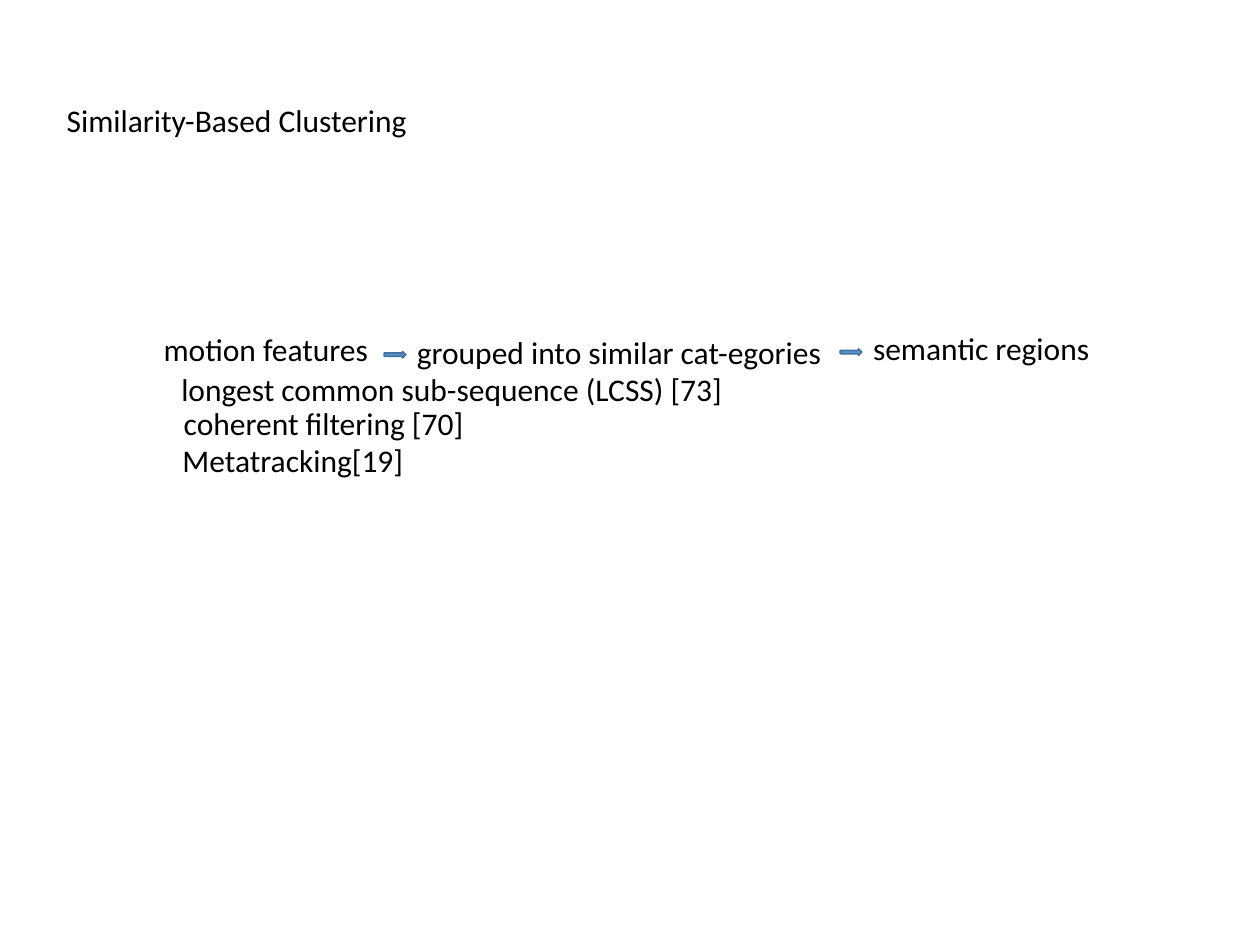
"""Build a slide outlining similarity-based clustering."""
from dataclasses import dataclass

import pptx
import pptx.dml.color
import pptx.enum.shapes
import pptx.enum.text
import pptx.slide
import pptx.util

Pt = pptx.util.Pt
BLACK = pptx.dml.color.RGBColor(0x00, 0x00, 0x00)
ARROW_FILL = pptx.dml.color.RGBColor(0x5B, 0x9B, 0xD5)
ARROW_LINE = pptx.dml.color.RGBColor(0x43, 0x73, 0x9E)
LABEL_HEIGHT = 28.8
ARROW_WIDTH, ARROW_HEIGHT = 12.24, 3.6


@dataclass(frozen=True)
class Label:
    text: str
    left: float
    top: float
    width: float


@dataclass(frozen=True)
class Arrow:
    left: float
    top: float


TITLE = Label("Similarity-Based Clustering", 31, 54, 211)
STEPS = [
    Label("motion features", 86.4, 185, 132.5),
    Label("grouped into similar cat-egories", 231.1, 186.5, 248.4),
    Label("semantic regions", 491.8, 184.3, 139.7),
]
METHODS = [
    Label("longest common sub-sequence (LCSS) [73]", 96.5, 208.1, 327.6),
    Label("coherent filtering [70]", 97.9, 227.5, 176.4),
    Label("Metatracking[19]", 97.2, 248.4, 141.8),
]
ARROWS = [Arrow(219.6, 200.9), Arrow(480.2, 199.4)]


def draw_label(page: pptx.slide.Slide, label: Label) -> None:
    box = page.shapes.add_textbox(
        Pt(label.left), Pt(label.top), Pt(label.width), Pt(LABEL_HEIGHT)
    )
    frame = box.text_frame
    frame.text = label.text
    frame.word_wrap = False
    frame.auto_size = pptx.enum.text.MSO_AUTO_SIZE.SHAPE_TO_FIT_TEXT
    font = frame.paragraphs[0].runs[0].font
    font.name = "Calibri"
    font.size = Pt(18)
    font.color.rgb = BLACK


def draw_arrow(page: pptx.slide.Slide, arrow: Arrow) -> None:
    shape = page.shapes.add_shape(
        pptx.enum.shapes.MSO_SHAPE.RIGHT_ARROW,
        Pt(arrow.left), Pt(arrow.top), Pt(ARROW_WIDTH), Pt(ARROW_HEIGHT),
    )
    shape.shadow.inherit = False
    shape.fill.solid()
    shape.fill.fore_color.rgb = ARROW_FILL
    shape.line.color.rgb = ARROW_LINE
    shape.line.width = Pt(1)


def main() -> None:
    deck = pptx.Presentation()
    deck.slide_width, deck.slide_height = Pt(720), Pt(540)
    page = deck.slides.add_slide(deck.slide_layouts[6])
    for label in [TITLE, *STEPS]:
        draw_label(page, label)
    for arrow in ARROWS:
        draw_arrow(page, arrow)
    for label in METHODS:
        draw_label(page, label)
    deck.save("out.pptx")


if __name__ == "__main__":
    main()
